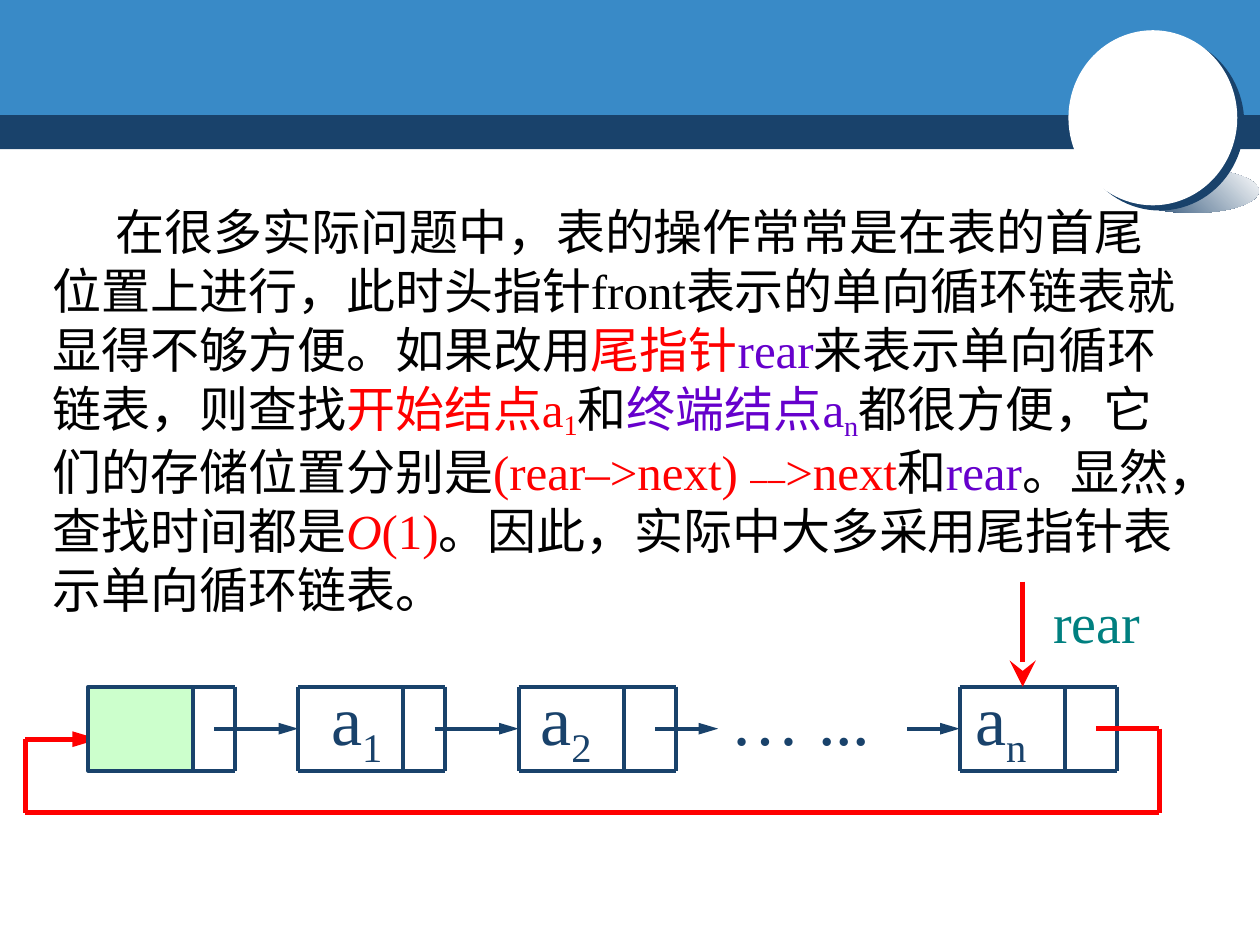
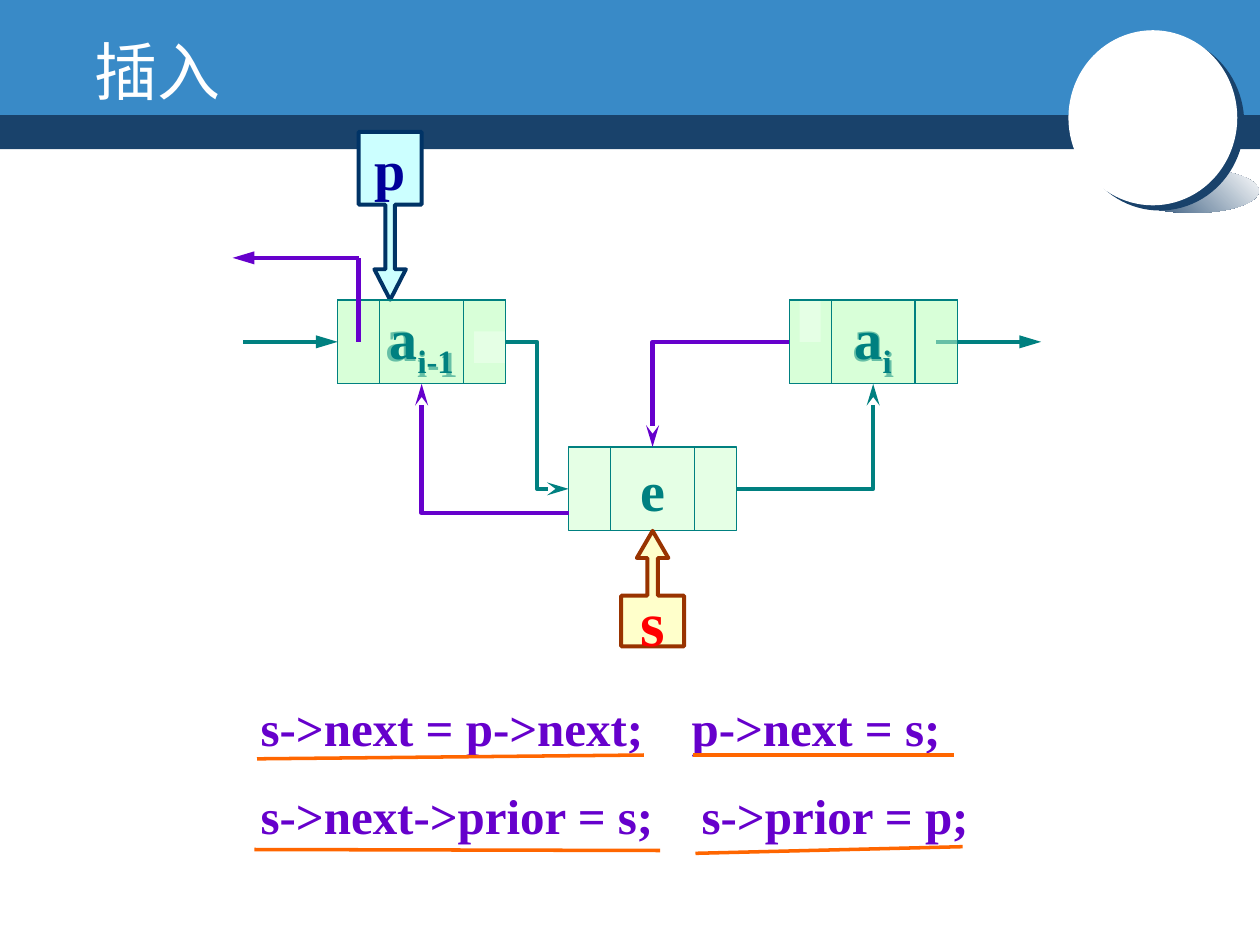
from dataclasses import dataclass
from typing import NamedTuple

from lxml.etree import SubElement
from pptx import Presentation
from pptx.dml.color import RGBColor
from pptx.enum.shapes import MSO_CONNECTOR as Link, MSO_SHAPE as Preset
from pptx.enum.text import MSO_ANCHOR as Anchor, PP_ALIGN as Align
from pptx.oxml.ns import qn
from pptx.util import Emu, Inches, Pt

COLORS = {
    "navy": "19426B", "sky": "398AC7", "white": "FFFFFF", "black": "000000",
    "red": "FF0000", "violet": "6600CC", "teal": "008080", "mint": "CCFFCC",
    "ice": "CCFFFF", "ink": "003366", "deep": "000099", "cream": "FFFF99",
    "rust": "993300", "orange": "FF6600",
}
SERIF = "Times New Roman"


@dataclass(frozen=True)
class Grid:
    left: float
    top: float
    col: float
    row: float

    def point(self, col: float, row: float) -> tuple[Emu, Emu]:
        return Inches(self.left + col * self.col), Inches(self.top + row * self.row)

    def box(self, col: float, row: float, cols: float, rows: float) -> tuple[Emu, ...]:
        return *self.point(col, row), Inches(cols * self.col), Inches(rows * self.row)


class Words(NamedTuple):
    text: str
    color: str
    size: float = 28
    bold: bool = False
    italic: bool = False
    base: int = 0
    font: str = SERIF


class Stroke(NamedTuple):
    color: str
    width: float
    head: str = ""
    breadth: str = "med"

    def tipped(self, head: str, breadth: str = "med") -> "Stroke":
        return self._replace(head=head, breadth=breadth)


class Cell(NamedTuple):
    col: float
    cols: float


class Node(NamedTuple):
    col: float
    row: float
    label: str
    sub: str = ""


PAGE = Grid(0, 0, 0.1, 0.075)
RING = Grid(0.7, 5.45, 1 / 12, 1 / 12)
CHAIN = Grid(2.68, 2.38, 1 / 12, 1 / 12)


def rgb(name: str) -> RGBColor:
    return RGBColor.from_string(COLORS[name])


def add_form(slide, preset, box, fill: str, stroke: Stroke | None = None, alpha: int = 100):
    form = slide.shapes.add_shape(preset, *box)
    form.shadow.inherit = False
    form.fill.solid()
    form.fill.fore_color.rgb = rgb(fill)
    if alpha < 100:
        tint = form._element.spPr.find(qn("a:solidFill")).find(qn("a:srgbClr"))
        SubElement(tint, qn("a:alpha"), val=str(alpha * 1000))
    if stroke:
        form.line.color.rgb = rgb(stroke.color)
        form.line.width = Pt(stroke.width)
    else:
        form.line.fill.background()
    return form


def add_path(slide, grid: Grid, start, end, stroke: Stroke, bend: str = "") -> None:
    kind = Link.ELBOW if bend else Link.STRAIGHT
    path = slide.shapes.add_connector(kind, *grid.point(*start), *grid.point(*end))
    path.line.color.rgb = rgb(stroke.color)
    path.line.width = Pt(stroke.width)
    props = path._element.spPr
    if bend:
        props.find(qn("a:prstGeom")).set("prst", bend)
    if stroke.head:
        SubElement(props.find(qn("a:ln")), qn("a:tailEnd"),
                   type=stroke.head, w=stroke.breadth, len="lg")
    SubElement(props, qn("a:effectLst"))


def write(paragraph, runs: list[Words]) -> None:
    for words in runs:
        run = paragraph.add_run()
        run.text = words.text
        font = run.font
        font.name, font.size = words.font, Pt(words.size)
        font.bold, font.italic = words.bold, words.italic
        font.color.rgb = rgb(words.color)
        if words.base:
            run._r.get_or_add_rPr().set("baseline", str(words.base * 1000))


def set_tabs(paragraph, stops: list[float]) -> None:
    tabs = SubElement(paragraph._p.get_or_add_pPr(), qn("a:tabLst"))
    for stop in stops:
        SubElement(tabs, qn("a:tab"), pos=str(Inches(stop)), algn="l")


def add_text(slide, box, runs: list[Words], align=Align.LEFT, wrap: bool = True):
    frame = slide.shapes.add_textbox(*box).text_frame
    frame.word_wrap = wrap
    frame.paragraphs[0].alignment = align
    write(frame.paragraphs[0], runs)
    return frame


def center_words(form, runs: list[Words]) -> None:
    frame = form.text_frame
    frame.word_wrap = False
    frame.vertical_anchor = Anchor.MIDDLE
    frame.paragraphs[0].alignment = Align.CENTER
    write(frame.paragraphs[0], runs)


def add_header(slide) -> None:
    add_form(slide, Preset.RECTANGLE, PAGE.box(0, 11.2, 100, 4.6), "navy")
    add_form(slide, Preset.RECTANGLE, PAGE.box(0, 0, 100, 12.17), "sky")
    shade = add_form(slide, Preset.OVAL, PAGE.box(89.4, 17.87, 10.5, 4.67), "navy")
    shade.fill.gradient()
    shade.fill.gradient_angle = 45
    for stop, name in zip(shade.fill.gradient_stops, ("navy", "white")):
        stop.color.rgb = rgb(name)
    disc = add_form(slide, Preset.OVAL, PAGE.box(84.8, 3.2, 13.4, 18.53), "white")
    effects = disc._element.spPr.find(qn("a:effectLst"))
    shadow = SubElement(effects, qn("a:outerShdw"), blurRad="0", dist=str(Pt(5)),
                        dir=str(37 * 60000), algn="ctr", rotWithShape="0")
    SubElement(shadow, qn("a:srgbClr"), val=COLORS["navy"])


def add_ring(slide) -> None:
    edge, loop = Stroke("navy", 2.25), Stroke("red", 3)
    height, divider, middle = 8, 10, 4
    for cell in (Cell(0, 14), Cell(20, 14), Cell(41, 15), Cell(83, 15)):
        right = cell.col + cell.cols
        for row in (0, height):
            add_path(slide, RING, (cell.col, row), (right, row), edge)
        for col in (cell.col, cell.col + divider, right):
            add_path(slide, RING, (col, 0), (col, height), edge)
    for start, end in ((12, 20), (33, 41), (54, 60), (78, 83)):
        add_path(slide, RING, (start, middle), (end, middle), edge.tipped("triangle"))
    corners = [(96, middle), (102, middle), (102, 12), (-6, 12), (-6, 5), (1, 5)]
    for start, end in zip(corners, corners[1:]):
        last = end == corners[-1]
        add_path(slide, RING, start, end, loop.tipped("triangle") if last else loop)
    add_form(slide, Preset.RECTANGLE, RING.box(0, 0, divider, height), "mint", edge)
    add_path(slide, RING, (89, -10), (89, 0), loop.tipped("stealth", "lg"))


def add_node(slide, node: Node, size: float, divided: bool = True) -> None:
    edge = Stroke("teal", 0.75)
    form = add_form(slide, Preset.RECTANGLE, CHAIN.box(node.col, node.row, 16, 8),
                    "mint", edge, alpha=50)
    runs = [Words(node.label, "teal", size, bold=True)]
    if node.sub:
        runs.append(Words(node.sub, "teal", size, bold=True, base=-25))
    center_words(form, runs)
    if divided:
        for col in (node.col + 4, node.col + 12):
            add_path(slide, CHAIN, (col, node.row), (col, node.row + 8), edge)


def add_pointer(slide, preset, box, fill: str, edge: str, alpha: int,
                ratios: tuple[float, ...], name: Words) -> None:
    form = add_form(slide, preset, box, fill, Stroke(edge, 2.25), alpha)
    for index, ratio in enumerate(ratios):
        form.adjustments[index] = ratio
    center_words(form, [name])


def build_tail_pointer(slide) -> None:
    add_header(slide)
    body = add_text(slide, PAGE.box(3.2, 20.7, 92.1, 46.27), [
        Words("在很多实际问题中，表的操作常常是在表的首尾位置上进行，此时头指针front"
              "表示的单向循环链表就显得不够方便。如果改用", "black"),
        Words("尾指针", "red"),
        Words("rear", "violet"),
        Words("来表示单向循环链表，则查找", "black"),
        Words("开始结点a", "red"),
        Words("1", "red", base=-16),
        Words("和", "black"),
        Words("终端结点a", "violet"),
        Words("n", "violet", base=-18),
        Words("都很方便，它们的存储位置分别是", "black"),
        Words("(rear–>next) ", "red"),
        Words("––", "red", 18, font="Arial"),
        Words(">next", "red"),
        Words("和", "black"),
        Words("rear", "violet"),
        Words("。显然，查找时间都是", "black"),
        Words("O", "red", italic=True),
        Words("(1)", "red"),
        Words("。因此，实际中大多采用尾指针表示单向循环链表。", "black"),
    ])
    body.paragraphs[0]._p.get_or_add_pPr().set("indent", str(Inches(0.5)))
    labels = add_text(slide, PAGE.box(20.3, 70.8, 75.8, 14), [
        Words("\ta", "navy", 40), Words("1", "navy", 40, base=-25),
        Words("\ta", "navy", 40), Words("2", "navy", 40, base=-25),
        Words("\t… ...\ta", "navy", 40), Words("n", "navy", 40, base=-25),
    ])
    set_tabs(labels.paragraphs[0], [0.5, 2.16, 3.67, 5.61])
    add_ring(slide)
    add_text(slide, PAGE.box(80.4, 61.5, 13.3, 8.4), [Words("rear", "teal", 32)], Align.CENTER)


def build_insertion(slide) -> None:
    add_header(slide)
    previous, following = Node(0, 0, "a", "i-1"), Node(43, 0, "a", "i")
    forward, backward = Stroke("teal", 2.5), Stroke("violet", 2.5)

    add_node(slide, previous, 36, divided=False)
    add_path(slide, CHAIN, (-9, 4), (0, 4), forward.tipped("triangle"))
    add_node(slide, following, 36, divided=False)
    add_path(slide, CHAIN, (57, 4), (67, 4), forward.tipped("triangle"))
    add_node(slide, Node(22, 14, "e"), 32)

    code = add_text(slide, PAGE.box(19.7, 70, 58.5, 20), [])
    statements = (("s->next = p->next;\tp->next = s;", 3.42),
                  ("s->next->prior = s;\ts->prior = p;", 3.5))
    for index, (statement, stop) in enumerate(statements):
        line = code.add_paragraph() if index else code.paragraphs[0]
        line.line_spacing = 1.5
        set_tabs(line, [stop])
        write(line, [Words(statement, "violet", bold=True)])

    add_pointer(slide, Preset.DOWN_ARROW_CALLOUT, CHAIN.box(2, -16, 6, 16), "ice", "ink", 100,
                (0.15, 0.25, 0.486, 0.433), Words("p", "deep", 32, bold=True))
    add_pointer(slide, Preset.UP_ARROW_CALLOUT, CHAIN.box(27, 22, 6, 11), "cream", "rust", 50,
                (0.167, 0.25, 0.431, 0.439), Words("s", "red", 36, bold=True))

    for node, window in ((previous, (13, 3, 3, 3)), (following, (44, 0, 2, 4))):
        add_form(slide, Preset.RECTANGLE, CHAIN.box(*window), "white")
        add_node(slide, node, 32)

    for start, end, stroke, bend in (
        ((38, 18), (51, 8), forward, "bentConnector2"),
        ((16, 4), (22, 18), forward, "bentConnector3"),
        ((43, 4), (30, 14), backward, "bentConnector2"),
        ((22, 20.3), (8, 8), backward, "bentConnector2"),
    ):
        add_path(slide, CHAIN, start, end, stroke.tipped("stealth"), bend)
    add_path(slide, CHAIN, (2, 4), (2, -4), backward)
    add_path(slide, CHAIN, (2, -4), (-10, -4), backward.tipped("triangle"))

    for start, end in (((20.4, 80.3), (51.1, 79.9)), ((55, 79.9), (75.7, 79.9)),
                       ((20.2, 89.9), (52.4, 90)), ((55.2, 90.3), (76.4, 89.6))):
        add_path(slide, PAGE, start, end, Stroke("orange", 2))
    add_text(slide, PAGE.box(6.5, 2.8, 12, 9.33), [Words("插入", "white", 36)], wrap=False)


deck = Presentation()
deck.slide_width, deck.slide_height = Inches(10), Inches(7.5)
for build in (build_tail_pointer, build_insertion):
    build(deck.slides.add_slide(deck.slide_layouts[6]))
deck.save("out.pptx")
